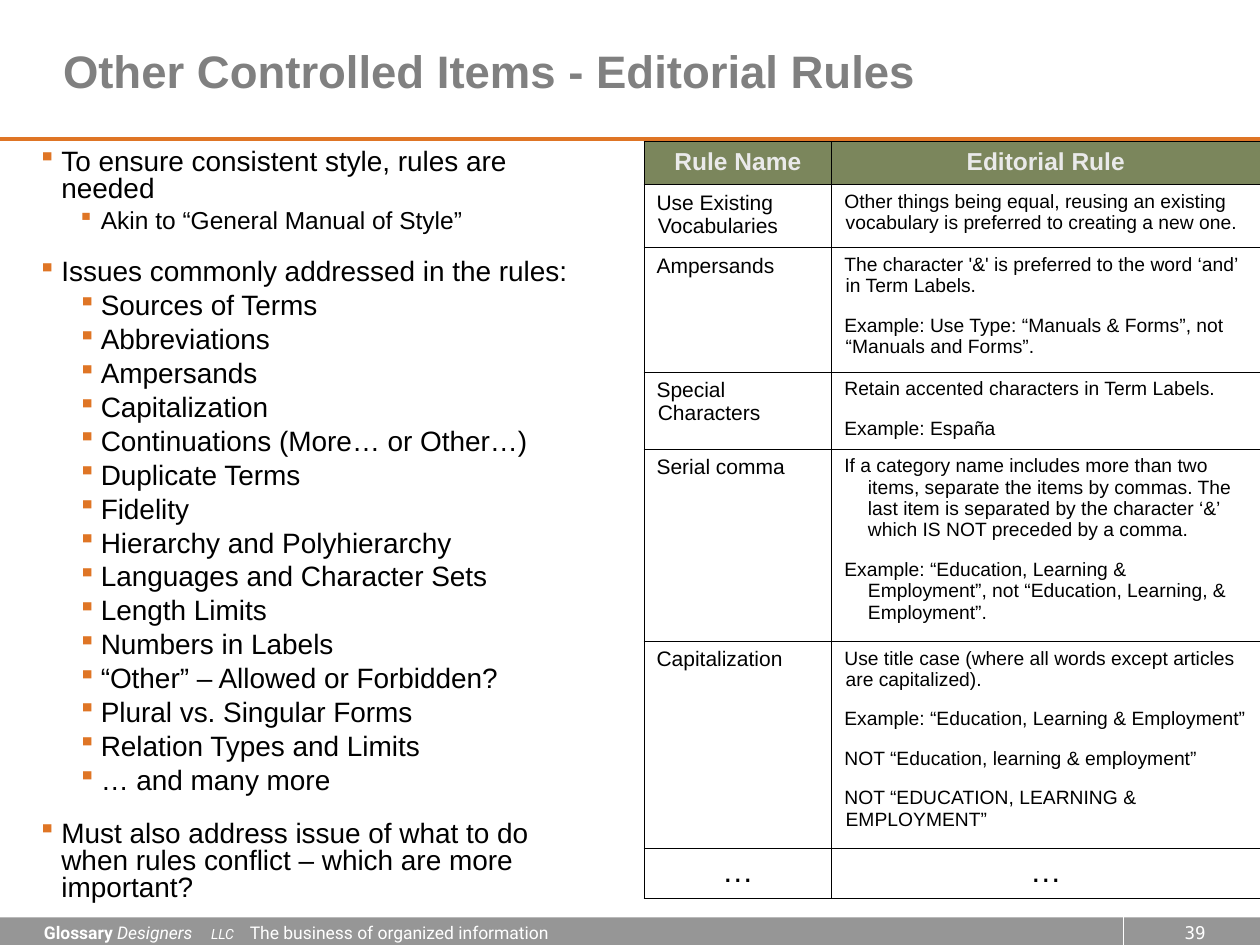
from lxml.etree import SubElement
from pptx import Presentation
from pptx.dml.color import RGBColor
from pptx.enum.shapes import MSO_CONNECTOR as Connector, MSO_SHAPE as Shape
from pptx.enum.text import MSO_ANCHOR as Anchor, PP_ALIGN as Align
from pptx.oxml.ns import qn
from pptx.util import Pt

BLACK = RGBColor(0, 0, 0)
WHITE = RGBColor(255, 255, 255)
ORANGE = RGBColor(0xDF, 0x75, 0x25)
TITLE_GRAY = RGBColor(0x80, 0x80, 0x80)
FOOTER_GRAY = RGBColor(0x96, 0x96, 0x96)
HEADER_GREEN = RGBColor(0x7B, 0x86, 0x5C)
HEADER_TEXT = RGBColor(0xEA, 0xEA, 0xEA)

TITLE = "Other Controlled Items - Editorial Rules"
ISSUES = [
    "Sources of Terms", "Abbreviations", "Ampersands", "Capitalization",
    "Continuations (More… or Other…)", "Duplicate Terms", "Fidelity",
    "Hierarchy and Polyhierarchy", "Languages and Character Sets",
    "Length Limits", "Numbers in Labels", "“Other” – Allowed or Forbidden?",
    "Plural vs. Singular Forms", "Relation Types and Limits", "… and many more",
]
# (level, size, text)
BULLETS = [
    (0, 16, "To ensure consistent style, rules are needed"),
    (1, 14, "Akin to “General Manual of Style”"),
    (0, 16, "Issues commonly addressed in the rules:"),
    *[(1, 16, issue) for issue in ISSUES],
    (0, 16, "Must also address issue of what to do when rules conflict – "
            "which are more important?"),
]
BULLET_INDENTS = [(13.5, 13.5), (36, 13)]
BULLET_GAPS = [15, 4]

SMALL_INDENT, WIDE_INDENT = 0.75, 13.5
# (name, indent of the rule text, paragraphs of the rule text)
RULES = [
    ("Use Existing Vocabularies", SMALL_INDENT,
     ["Other things being equal, reusing an existing vocabulary is preferred "
      "to creating a new one."]),
    ("Ampersands", SMALL_INDENT,
     ["The character '&' is preferred to the word ‘and’ in Term Labels.",
      "Example: Use Type: “Manuals & Forms”, not “Manuals and Forms”."]),
    ("Special Characters", SMALL_INDENT,
     ["Retain accented characters in Term Labels.", "Example: España"]),
    ("Serial comma", WIDE_INDENT,
     ["If a category name includes more than two items, separate the items by "
      "commas. The last item is separated by the character ‘&’ which IS NOT "
      "preceded by a comma.",
      "Example: “Education, Learning & Employment”, not “Education, Learning, "
      "& Employment”."]),
    ("Capitalization", SMALL_INDENT,
     ["Use title case (where all words except articles are capitalized).",
      "Example: “Education, Learning & Employment”",
      "NOT “Education, learning & employment”",
      "NOT “EDUCATION, LEARNING & EMPLOYMENT”"]),
]
COLUMN_WIDTHS = [107.3, 244.7]
ROW_HEIGHTS = [24.6, 36, 71, 43.7, 110, 118, 28.9]


def set_font(target, size, color, name="Arial", bold=False):
    font = target.font
    font.name, font.size, font.bold = name, Pt(size), bold
    font.color.rgb = color


def set_hanging_indent(para, left, hang):
    properties = para._p.get_or_add_pPr()
    properties.set("marL", str(Pt(left)))
    properties.set("indent", str(-Pt(hang)))
    return properties


def set_insets(frame, across=0, down=0):
    frame.margin_left = frame.margin_right = Pt(across)
    frame.margin_top = frame.margin_bottom = Pt(down)


def add_text_box(slide, left, top, width, height, across=0, down=0):
    box = slide.shapes.add_textbox(Pt(left), Pt(top), Pt(width), Pt(height))
    box.text_frame.word_wrap = True
    set_insets(box.text_frame, across, down)
    return box.text_frame


def add_line(slide, x1, y1, x2, y2, color, width):
    line = slide.shapes.add_connector(
        Connector.STRAIGHT, Pt(x1), Pt(y1), Pt(x2), Pt(y2))
    line.line.color.rgb = color
    line.line.width = Pt(width)
    SubElement(line._element.spPr, qn("a:effectLst"))


def next_paragraph(frame, index):
    return frame.paragraphs[0] if index == 0 else frame.add_paragraph()


def format_title(slide):
    title = slide.shapes.title
    title.left, title.top, title.width, title.height = Pt(36), 0, Pt(652), Pt(80.5)
    frame = title.text_frame
    set_insets(frame)
    frame.vertical_anchor = Anchor.MIDDLE
    para = frame.paragraphs[0]
    para.text, para.alignment = TITLE, Align.LEFT
    set_font(para, 26, TITLE_GRAY, bold=True)


def add_bullet_mark(properties):
    color = SubElement(properties, qn("a:buClr"))
    SubElement(color, qn("a:srgbClr"), val=str(ORANGE))
    SubElement(properties, qn("a:buSzPct"), val="90000")
    SubElement(properties, qn("a:buChar"), char="▪")


def add_bullets(slide):
    frame = add_text_box(slide, 21.6, 85.7, 319.7, 435.6)
    for index, (level, size, text) in enumerate(BULLETS):
        para = next_paragraph(frame, index)
        para.text, para.level, para.line_spacing = text, level, 0.8
        if index:
            para.space_before = Pt(BULLET_GAPS[level])
        add_bullet_mark(set_hanging_indent(para, *BULLET_INDENTS[level]))
        set_font(para, size, BLACK)


def set_borders(cell):
    properties = cell._tc.get_or_add_tcPr()
    for side in ("a:lnL", "a:lnR", "a:lnT", "a:lnB"):
        border = SubElement(properties, qn(side), w=str(Pt(0.45)))
        fill = SubElement(border, qn("a:solidFill"))
        SubElement(fill, qn("a:srgbClr"), val=str(BLACK))


def fill_cell(cell, texts, size, indent=SMALL_INDENT, align=Align.LEFT,
              color=BLACK, fill=None, bold=False):
    set_borders(cell)
    if fill is None:
        cell.fill.background()
    else:
        cell.fill.solid()
        cell.fill.fore_color.rgb = fill
    set_insets(cell, 7.2, 3.6)
    for index, text in enumerate(texts):
        para = next_paragraph(cell.text_frame, index)
        para.text, para.alignment = text, align
        if index:
            para.space_before = Pt(10.3)
        set_hanging_indent(para, indent, indent)
        set_font(para, size, color, bold=bold)


def add_rules_table(slide):
    table = slide.shapes.add_table(
        len(ROW_HEIGHTS), len(COLUMN_WIDTHS), Pt(368), Pt(81),
        Pt(sum(COLUMN_WIDTHS)), Pt(sum(ROW_HEIGHTS))).table
    table.first_row = table.horz_banding = False
    for column, width in zip(table.columns, COLUMN_WIDTHS):
        column.width = Pt(width)
    for row, height in zip(table.rows, ROW_HEIGHTS):
        row.height = Pt(height)
    last = len(ROW_HEIGHTS) - 1
    for column, heading in enumerate(["Rule Name", "Editorial Rule"]):
        fill_cell(table.cell(0, column), [heading], 14, WIDE_INDENT, Align.CENTER,
                  HEADER_TEXT, HEADER_GREEN, bold=True)
        fill_cell(table.cell(last, column), ["…"], 18, align=Align.CENTER)
    for row, (name, indent, texts) in enumerate(RULES, start=1):
        fill_cell(table.cell(row, 0), [name], 12)
        fill_cell(table.cell(row, 1), texts, 11, indent)


def add_footer(slide):
    bar = slide.shapes.add_shape(Shape.RECTANGLE, 0, Pt(524.2), Pt(720), Pt(15.8))
    bar.shadow.inherit = False
    bar.fill.solid()
    bar.fill.fore_color.rgb = FOOTER_GRAY
    bar.line.fill.background()
    add_line(slide, 642.2, 522, 642.2, 540, WHITE, 0.75)

    number = add_text_box(slide, 664.6, 523.4, 36.7, 16.6, 7.2, 3.6).paragraphs[0]
    number.text, number.alignment = "39", Align.CENTER
    set_font(number, 10, WHITE, "DejaVu Sans Mono")

    para = add_text_box(slide, 18, 523.4, 334, 16.6, 7.2, 3.6).paragraphs[0]
    tabs = SubElement(para._p.get_or_add_pPr(), qn("a:tabLst"))
    for position in (95.5, 117.7):
        SubElement(tabs, qn("a:tab"), pos=str(Pt(position)), algn="l")
    for text, size, bold, italic in [
            ("Glossary ", 10, True, False), ("Designers", 10, False, True),
            ("\tLLC", 8, False, True),
            ("\tThe business of organized information", 10, False, False)]:
        span = para.add_run()
        span.text = text
        set_font(span, size, WHITE, "Roboto", bold)
        span.font.italic = italic


def main():
    deck = Presentation()
    deck.slide_width, deck.slide_height = Pt(720), Pt(540)
    slide = deck.slides.add_slide(deck.slide_layouts[5])
    add_footer(slide)
    add_line(slide, 0, 79.2, 720, 79.2, ORANGE, 2.25)
    format_title(slide)
    add_bullets(slide)
    add_rules_table(slide)
    deck.save("out.pptx")


if __name__ == "__main__":
    main()
